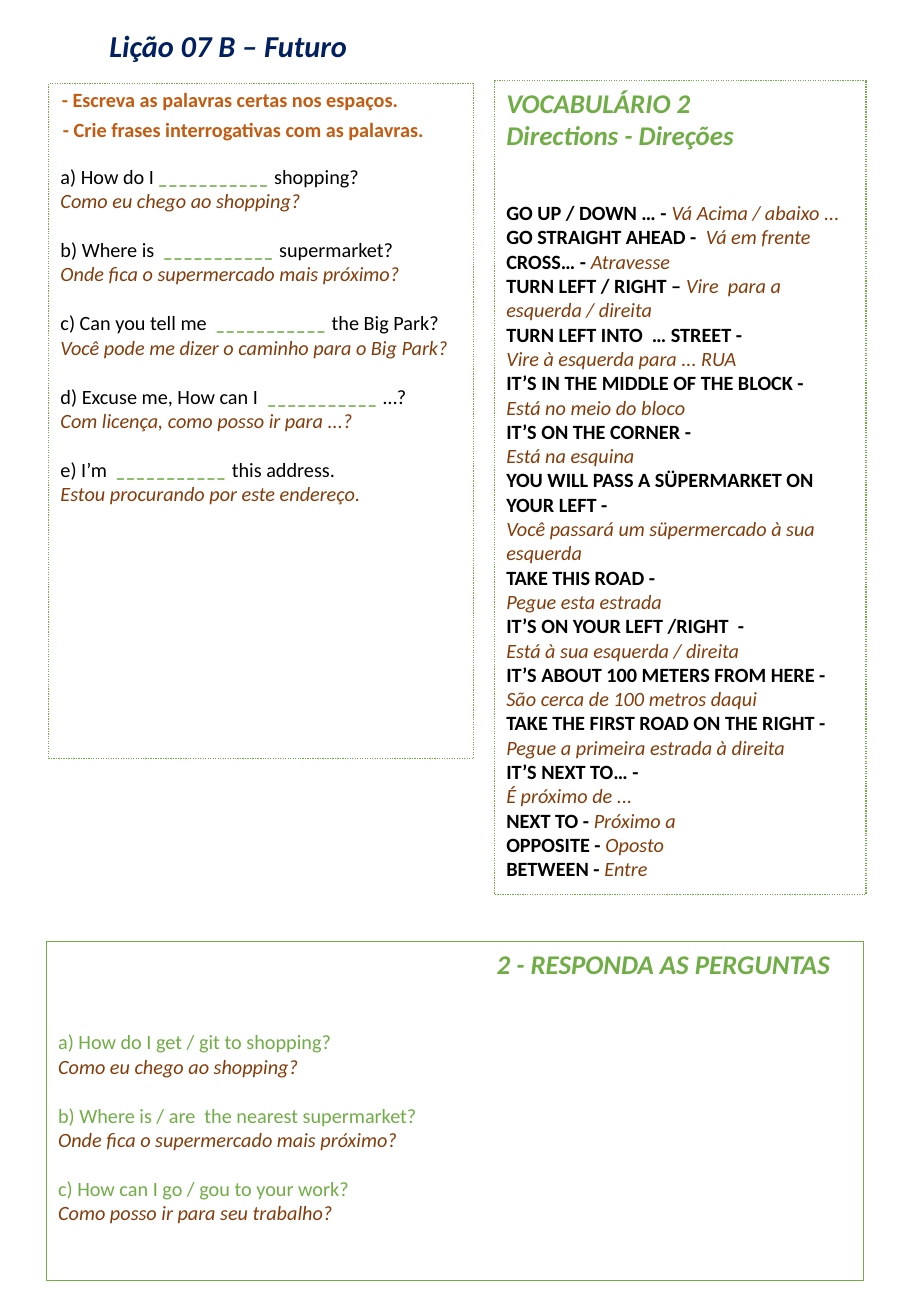
from pptx import Presentation, util as u
from pptx.dml.color import RGBColor
from pptx.enum import dml, shapes, text

GREEN, BROWN, BLACK = "70AD47", "843C0B", "000000"
BLANK_LINE = 14.65  # height of one 12 pt line, in points

# Text styles: size, colour, bold, italic
STYLES = {
    "title": (18, "002060", True, True),
    "heading": (16, GREEN, True, True),
    "instruction": (12, "C55A11", True, False),
    "english": (12, BLACK, False, False),
    "term": (12, BLACK, True, False),
    "gap": (12, GREEN, True, True),
    "question": (12, GREEN, False, False),
    "portuguese": (12, BROWN, False, True),
}

presentation = Presentation()
presentation.slide_width, presentation.slide_height = u.Inches(7.5), u.Inches(10.83)
slide = presentation.slides.add_slide(presentation.slide_layouts[6])


def add_box(left, top, width, height, line_width=None, dash=None):
    """Add a box placed in percent of the slide; return its text frame."""
    across, down = presentation.slide_width / 100, presentation.slide_height / 100
    place = [int(left * across), int(top * down), int(width * across), int(height * down)]
    if line_width is None:
        shape = slide.shapes.add_textbox(*place)
    else:
        shape = slide.shapes.add_shape(shapes.MSO_SHAPE.RECTANGLE, *place)
        shape.shadow.inherit = False
        shape.fill.background()
        shape.line.color.rgb = RGBColor.from_string(GREEN)
        shape.line.width = u.Pt(line_width)
        shape.line.dash_style = dash
    shape.text_frame.word_wrap = True
    shape.text_frame.vertical_anchor = text.MSO_ANCHOR.TOP
    return shape.text_frame


def write(frame, *runs, before=0):
    """Add one paragraph made of (style, words) runs."""
    paragraph = frame.paragraphs[0]
    if paragraph.runs:
        paragraph = frame.add_paragraph()
    paragraph.alignment = text.PP_ALIGN.LEFT
    paragraph.space_before = u.Pt(before)
    for style, words in runs:
        run = paragraph.add_run()
        run.text = words
        font = run.font
        size, colour, font.bold, font.italic = STYLES[style]
        font.name, font.size = "Calibri", u.Pt(size)
        font.color.rgb = RGBColor.from_string(colour)
    return paragraph


# Title
title = add_box(10.53, 1.57, 29.07, 6.56)
title.word_wrap = False
write(title, ("title", "Lição 07 B – Futuro")).alignment = text.PP_ALIGN.CENTER

# Fill-in exercise, starting below the instructions
exercise = add_box(5.33, 6.37, 46.67, 51.25, 0.75, dml.MSO_LINE.ROUND_DOT)
exercise.margin_top = u.Inches(0.05) + u.Pt(3 * BLANK_LINE)
sentences = [
    ("a) How do I ", "shopping?", "Como eu chego ao shopping?"),
    ("b) Where is  ", "supermarket?", "Onde fica o supermercado mais próximo?"),
    ("c) Can you tell me  ", "the Big Park?", "Você pode me dizer o caminho para o Big Park?"),
    ("d) Excuse me, How can I  ", "…?", "Com licença, como posso ir para ...?"),
    ("e) I’m  ", "this address.", "Estou procurando por este endereço."),
]
for index, (start, end, translation) in enumerate(sentences):
    write(exercise, ("english", start), ("gap", "___________ "), ("english", end),
          before=BLANK_LINE if index else 0)
    write(exercise, ("portuguese", translation))

# Questions to answer
answers = add_box(5.07, 71.56, 89.73, 25.76, 0.25)
heading = write(answers, ("heading", "2 - RESPONDA AS PERGUNTAS"))
heading._p.get_or_add_pPr().set("marL", str(u.Inches(3.61)))
questions = [
    ("a) How do I get / git to shopping?", "Como eu chego ao shopping?"),
    ("b) Where is / are  the nearest supermarket?", "Onde fica o supermercado mais próximo?"),
    ("c) How can I go / gou to your work?", "Como posso ir para seu trabalho?"),
]
for index, (question, translation) in enumerate(questions):
    write(answers, ("question", question), before=BLANK_LINE if index else 2 * BLANK_LINE)
    write(answers, ("portuguese", translation))

# Vocabulary: translation on the same line or on the next one
vocabulary = add_box(54.27, 6.09, 40.8, 61.87, 0.75, dml.MSO_LINE.ROUND_DOT)
write(vocabulary, ("heading", "VOCABULÁRIO 2"))
write(vocabulary, ("heading", "Directions - Direções"))
SAME, NEXT = True, False
terms = [
    ("GO UP / DOWN … - ", SAME, "Vá Acima / abaixo ..."),
    ("GO STRAIGHT AHEAD -  ", SAME, "Vá em frente"),
    ("CROSS… - ", SAME, "Atravesse"),
    ("TURN LEFT / RIGHT – ", SAME, "Vire  para a esquerda / direita"),
    ("TURN LEFT INTO  … STREET -", NEXT, "Vire à esquerda para ... RUA"),
    ("IT’S IN THE MIDDLE OF THE BLOCK -", NEXT, "Está no meio do bloco"),
    ("IT’S ON THE CORNER -", NEXT, "Está na esquina"),
    ("YOU WILL PASS A SÜPERMARKET ON YOUR LEFT -", NEXT,
     "Você passará um süpermercado à sua esquerda"),
    ("TAKE THIS ROAD -", NEXT, "Pegue esta estrada"),
    ("IT’S ON YOUR LEFT /RIGHT  -", NEXT, "Está à sua esquerda / direita"),
    ("IT’S ABOUT 100 METERS FROM HERE -", NEXT, "São cerca de 100 metros daqui"),
    ("TAKE THE FIRST ROAD ON THE RIGHT -", NEXT, "Pegue a primeira estrada à direita"),
    ("IT’S NEXT TO… -", NEXT, "É próximo de ..."),
    ("NEXT TO - ", SAME, "Próximo a"),
    ("OPPOSITE - ", SAME, "Oposto"),
    ("BETWEEN - ", SAME, "Entre"),
]
for index, (term, same_line, translation) in enumerate(terms):
    before = 0 if index else 2 * BLANK_LINE
    if same_line:
        write(vocabulary, ("term", term), ("portuguese", translation), before=before)
    else:
        write(vocabulary, ("term", term), before=before)
        write(vocabulary, ("portuguese", translation))

# Instructions over the exercise
for left, top, words in [
    (5.6, 8.49, "- Crie frases interrogativas com as palavras."),
    (5.47, 6.19, "- Escreva as palavras certas nos espaços."),
]:
    write(add_box(left, top, 50, 2.77), ("instruction", words))

presentation.save("out.pptx")
